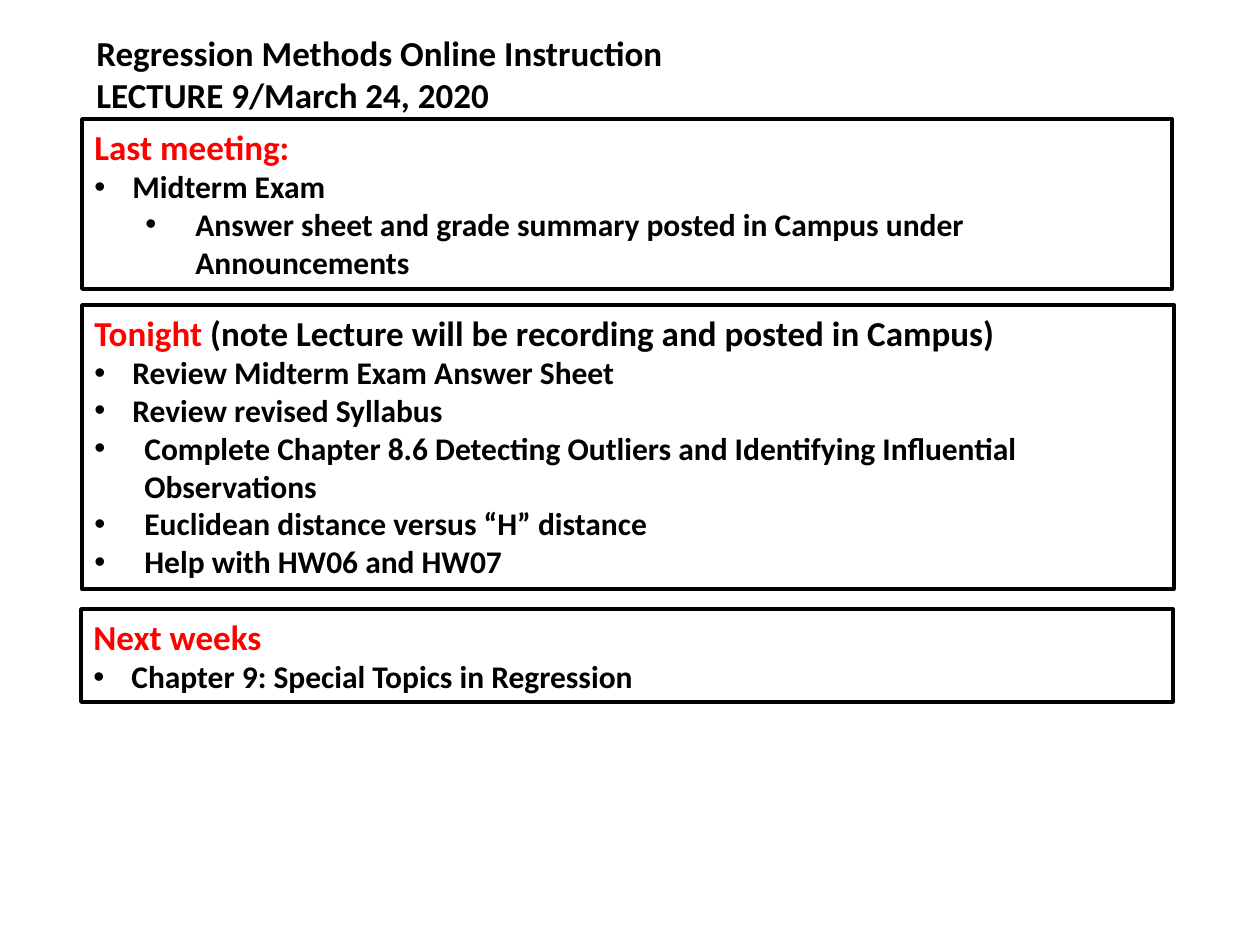
from dataclasses import dataclass

from lxml.etree import SubElement
from pptx import Presentation
from pptx.dml.color import RGBColor
from pptx.enum.shapes import MSO_SHAPE as Shape
from pptx.enum.text import MSO_ANCHOR as Anchor, MSO_AUTO_SIZE as AutoSize, PP_ALIGN as Align
from pptx.oxml.ns import qn
from pptx.util import Emu, Pt

PX_PER_INCH = 126


@dataclass(frozen=True)
class Theme:
    font: str = "Calibri"
    ink: RGBColor = RGBColor(0, 0, 0)
    accent: RGBColor = RGBColor(255, 0, 0)
    paper: RGBColor = RGBColor(255, 255, 255)
    heading: Pt = Pt(20)
    body: Pt = Pt(18)
    border: Pt = Pt(2)


THEME = Theme()

# Bullet styles: (text margin, hanging distance) in px
NARROW, WIDE, NESTED = (38, 38), (50, 50), (101, 50)

TITLE = ["Regression Methods Online Instruction", "LECTURE 9/March 24, 2020"]

# Each section: box in px, red heading, black rest of heading, bullets
SECTIONS = [
    ((82, 119, 1090, 170), "Last meeting:", "", [
        (NARROW, "Midterm Exam"),
        (NESTED, "Answer sheet and grade summary posted in Campus under Announcements"),
    ]),
    ((82, 305, 1092, 284), "Tonight ", "(note Lecture will be recording and posted in Campus)", [
        (NARROW, "Review Midterm Exam Answer Sheet"),
        (NARROW, "Review revised Syllabus"),
        (WIDE, "Complete Chapter 8.6 Detecting Outliers and Identifying Influential Observations"),
        (WIDE, "Euclidean distance versus “H” distance"),
        (WIDE, "Help with HW06 and HW07"),
    ]),
    ((81, 609, 1092, 93), "Next weeks", "", [
        (NARROW, "Chapter 9: Special Topics in Regression"),
    ]),
]


def px(length):
    return Emu(round(length * 914400 / PX_PER_INCH))


def set_up_frame(frame):
    frame_format = {"word_wrap": True, "auto_size": AutoSize.SHAPE_TO_FIT_TEXT,
                    "vertical_anchor": Anchor.TOP}
    for name, value in frame_format.items():
        setattr(frame, name, value)


def next_paragraph(frame):
    """Return the first paragraph while it is empty, otherwise a new one."""
    first = frame.paragraphs[0]
    para = frame.add_paragraph() if first.runs else first
    para.alignment = Align.LEFT
    return para


def add_span(para, text, size, color):
    span = para.add_run()
    span.text = text
    for name, value in {"name": THEME.font, "size": size, "bold": True}.items():
        setattr(span.font, name, value)
    span.font.color.rgb = color


def add_bullet(frame, style, text):
    para = next_paragraph(frame)
    margin, hanging = style
    properties = para._p.get_or_add_pPr()
    for name, value in {"marL": px(margin), "indent": -px(hanging)}.items():
        properties.set(name, str(int(value)))
    SubElement(properties, qn("a:buFont"), typeface="Arial")
    SubElement(properties, qn("a:buChar"), char="•")
    add_span(para, text, THEME.body, THEME.ink)


def add_title(page):
    box = page.shapes.add_textbox(*map(px, (84, 25, 1008, 97)))
    set_up_frame(box.text_frame)
    for line in TITLE:
        add_span(next_paragraph(box.text_frame), line, THEME.heading, THEME.ink)


def add_section(page, bounds, heading, remark, bullets):
    box = page.shapes.add_shape(Shape.RECTANGLE, *map(px, bounds))
    box.shadow.inherit = False
    box.fill.solid()
    box.fill.fore_color.rgb = THEME.paper
    box.line.color.rgb = THEME.ink
    box.line.width = THEME.border
    frame = box.text_frame
    set_up_frame(frame)
    para = next_paragraph(frame)
    add_span(para, heading, THEME.heading, THEME.accent)
    if remark:
        add_span(para, remark, THEME.heading, THEME.ink)
    for style, text in bullets:
        add_bullet(frame, style, text)


def main():
    deck = Presentation()
    deck.slide_width, deck.slide_height = px(1260), px(945)
    page = deck.slides.add_slide(deck.slide_layouts[6])
    add_title(page)
    for section in SECTIONS:
        add_section(page, *section)
    deck.save("out.pptx")


if __name__ == "__main__":
    main()
